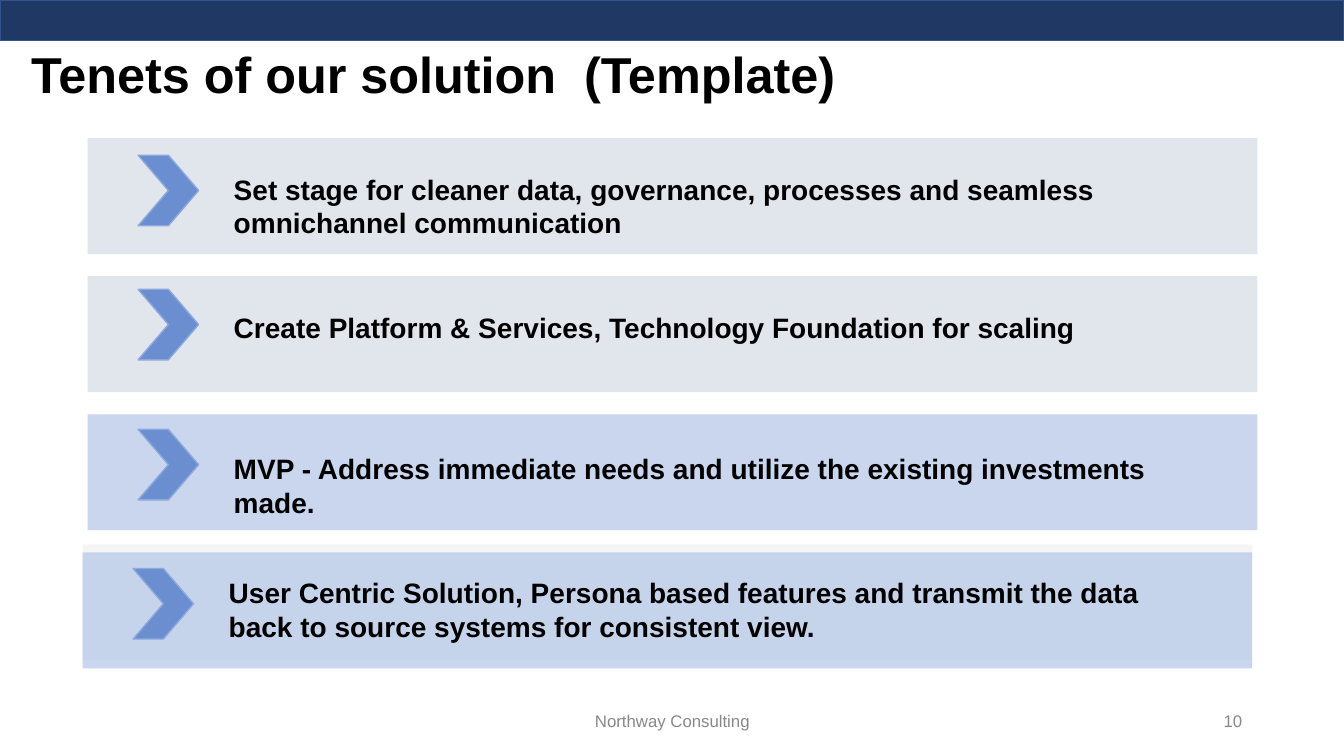
from lxml import etree
from pptx import Presentation
from pptx.dml.color import RGBColor
from pptx.enum.shapes import MSO_SHAPE
from pptx.enum.text import MSO_ANCHOR, MSO_AUTO_SIZE, PP_ALIGN
from pptx.oxml.ns import qn
from pptx.util import Inches, Pt

RECT, ROUND, ARROW = MSO_SHAPE.RECTANGLE, MSO_SHAPE.ROUNDED_RECTANGLE, MSO_SHAPE.CHEVRON
TOP, MID = MSO_ANCHOR.TOP, MSO_ANCHOR.MIDDLE
LEFT, MIDDLE, RIGHT = PP_ALIGN.LEFT, PP_ALIGN.CENTER, PP_ALIGN.RIGHT
NAVY = RGBColor(0x1F, 0x38, 0x64)
EDGE = RGBColor(0x31, 0x53, 0x8F)
GRAY = RGBColor(0xD5, 0xDB, 0xE5)
BLUE = RGBColor(0xB3, 0xC6, 0xE7)
PALE = RGBColor(0xF2, 0xF2, 0xF2)
MARK = RGBColor(0x6A, 0x8E, 0xD0)
RIM = RGBColor(0x8D, 0xA9, 0xDB)
BLACK = RGBColor(0, 0, 0)
DIM = RGBColor(0x88, 0x88, 0x88)

deck = Presentation()
deck.slide_width, deck.slide_height = Inches(13.33), Inches(7.5)
slide = deck.slides.add_slide(deck.slide_layouts[5])


def write(text, x, y, w, h, box=None, size=20, bold=True, color=BLACK,
          align=LEFT, anchor=TOP, space=1.0):
    spot = [Inches(v) for v in (x, y, w, h)]
    if box is None:
        box = slide.shapes.add_textbox(*spot)
    box.left, box.top, box.width, box.height = spot
    frame = box.text_frame
    frame.word_wrap, frame.auto_size = True, MSO_AUTO_SIZE.NONE
    frame.vertical_anchor = anchor
    frame.text = text
    para = frame.paragraphs[0]
    para.alignment, para.line_spacing = align, space
    font = para.runs[0].font
    font.name, font.size, font.bold = "Arial", Pt(size), bold
    font.color.rgb = color


def draw(kind, x, y, w, h, fill, line=None, alpha=None):
    shape = slide.shapes.add_shape(kind, *[Inches(v) for v in (x, y, w, h)])
    shape.shadow.inherit = False
    shape.fill.solid()
    shape.fill.fore_color.rgb = fill
    if line is None:
        shape.line.fill.background()
    else:
        shape.line.color.rgb, shape.line.width = line, Pt(1)
    if kind == ROUND:
        shape.adjustments[0] = 0
    if alpha:
        tint = shape.fill._xPr.find(qn("a:solidFill"))[0]
        etree.SubElement(tint, qn("a:alpha")).set("val", str(alpha * 1000))


# Top band and title
draw(RECT, 0, 0, 13.33, 0.4, NAVY, EDGE)
write("Tenets of our solution  (Template)", 0.21, 0.45, 11.76, 0.65,
      box=slide.shapes.title, size=36, space=0.9)

# Tenets: words, bar colour, left edge, text drop, arrow drop
PITCH, WIDE, HIGH = 1.37, 11.6, 1.15
tenets = [
    ("Set stage for cleaner data, governance, processes and seamless "
     "omnichannel communication", GRAY, 0.87, 0.29, 0.17),
    ("Create Platform & Services, Technology Foundation for scaling",
     GRAY, 0.87, 0.29, 0.13),
    ("MVP - Address immediate needs and utilize the existing investments made.",
     BLUE, 0.87, 0.32, 0.15),
    ("User Centric Solution, Persona based features and transmit the data "
     "back to source systems for consistent view.", BLUE, 0.82, 0.18, 0.16),
]
draw(ROUND, 0.82, 5.4, WIDE, HIGH, PALE, alpha=70)
for row, (words, fill, x, drop, dip) in enumerate(tenets, 1):
    y = PITCH * row
    draw(ROUND, x, y, WIDE, HIGH, fill, alpha=70)
    write(words, x + 1.35, y + drop, 9.74, 0.77)
    draw(ARROW, x + 0.5, y + dip, 0.6, 0.7, MARK, RIM)

# Footer and page number
for words, x, w, align in (("Northway Consulting", 4.42, 4.5, MIDDLE),
                           ("10", 9.42, 3, RIGHT)):
    write(words, x, 6.95, w, 0.4, size=12, bold=False, color=DIM,
          align=align, anchor=MID)

deck.save("out.pptx")
